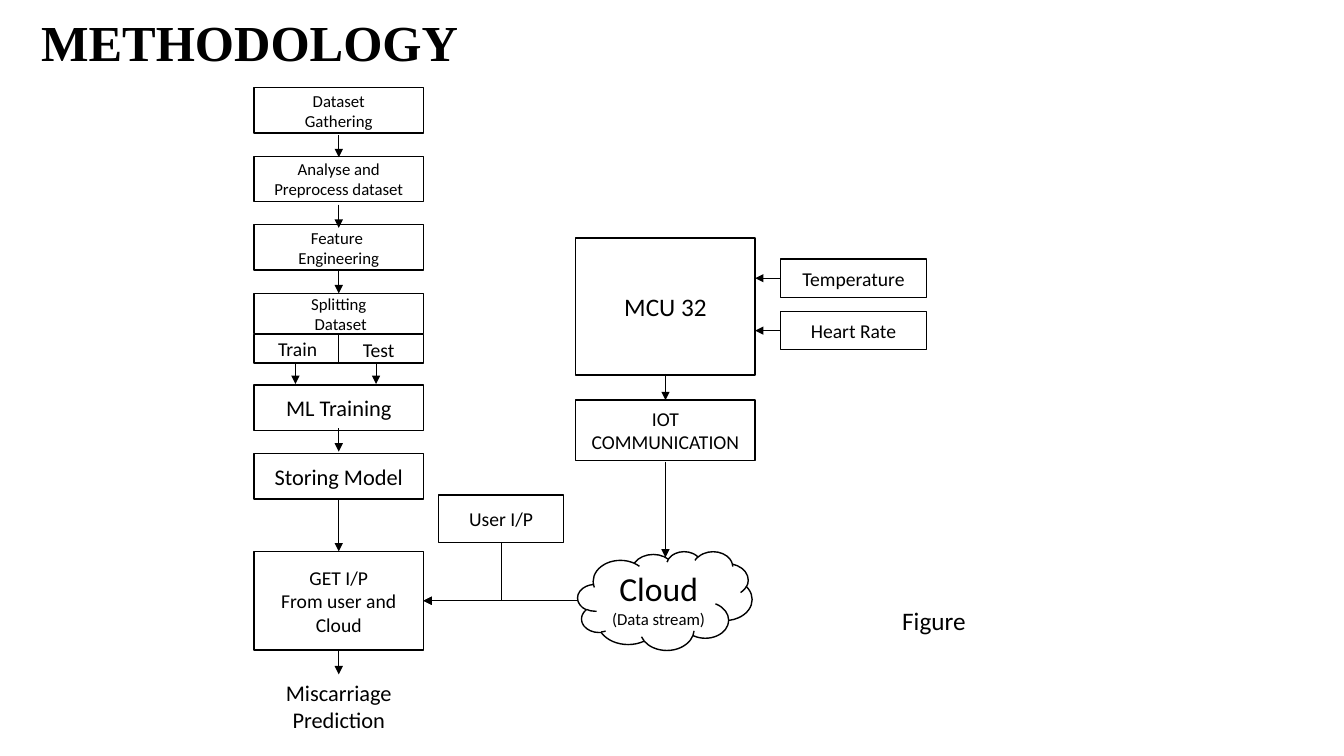
from lxml import etree
from pptx import Presentation
from pptx.dml.color import RGBColor
from pptx.enum.shapes import MSO_CONNECTOR as LINK, MSO_SHAPE as SHAPE
from pptx.enum.text import MSO_ANCHOR as ANCHOR, MSO_AUTO_SIZE as FIT, PP_ALIGN as ALIGN
from pptx.oxml.ns import qn
from pptx.util import Inches, Pt

COLORS = {"ink": "000000", "paper": "FFFFFF"}
COLUMNS = {
    "model": (2.52, 1.68),
    "user": (4.35, 1.24),
    "device": (5.71, 1.78),
    "cloud": (5.73, 1.73),
    "sensor": (7.74, 1.45),
}
TOP, STEP, BOX_H = 0.87, 0.68, 0.45
SPLIT_TOP, TRAIN_TOP = TOP + 3 * STEP, 3.82
INPUT_TOP, INPUT_H = 5.47, 0.98
INPUT_MID = INPUT_TOP + INPUT_H / 2


def color(name):
    return RGBColor.from_string(COLORS[name])


def center(column):
    left, width = COLUMNS[column]
    return left + width / 2


def right(column):
    return sum(COLUMNS[column])


def write(tf, lines, align, font="Calibri", bold=False):
    for i, (text, size) in enumerate(lines):
        p = tf.paragraphs[0] if i == 0 else tf.add_paragraph()
        p.alignment = align
        r = p.add_run()
        r.text = text
        r.font.size = Pt(size)
        r.font.name = font
        r.font.bold = bold
        r.font.color.rgb = color("ink")


def box(s, column, top, height, size=14, *texts, kind=SHAPE.RECTANGLE):
    left, width = COLUMNS[column]
    sp = s.shapes.add_shape(kind, Inches(left), Inches(top), Inches(width), Inches(height))
    sp.shadow.inherit = False
    sp.fill.solid()
    sp.fill.fore_color.rgb = color("paper")
    sp.line.color.rgb = color("ink")
    sp.line.width = Pt(1)
    tf = sp.text_frame
    tf.word_wrap = True
    tf.vertical_anchor = ANCHOR.MIDDLE
    write(tf, [(text, size) for text in texts], ALIGN.CENTER)
    return sp


def label(s, left, top, width, height, text, size, align=ALIGN.LEFT, wrap=True, **style):
    sp = s.shapes.add_textbox(Inches(left), Inches(top), Inches(width), Inches(height))
    tf = sp.text_frame
    tf.word_wrap = wrap
    tf.auto_size = FIT.SHAPE_TO_FIT_TEXT
    write(tf, [(text, size)], align, **style)


def line(s, x1, y1, x2, y2, head=True, kind=LINK.STRAIGHT):
    cx = s.shapes.add_connector(kind, Inches(x1), Inches(y1), Inches(x2), Inches(y2))
    cx.line.color.rgb = color("ink")
    cx.line.width = Pt(0.5)
    props = cx._element.spPr
    if head:
        etree.SubElement(props.find(qn("a:ln")), qn("a:tailEnd"), type="triangle")
    etree.SubElement(props, qn("a:effectLst"))
    return cx


def corner(s, x1, y1, x2, y2):
    run, drop = x1 - x2, y2 - y1
    mid_x, mid_y = (x1 + x2) / 2, (y1 + y2) / 2
    cx = line(s, mid_x - drop / 2, mid_y - run / 2, mid_x + drop / 2, mid_y + run / 2,
              kind=LINK.ELBOW)
    props = cx._element.spPr
    props.find(qn("a:prstGeom")).set("prst", "bentConnector2")
    props.find(qn("a:xfrm")).set("rot", str(90 * 60000))


def model_lane(s):
    axis = center("model")
    steps = [("Dataset", "Gathering"), ("Analyse and Preprocess dataset",),
             ("Feature ", "Engineering")]
    for i, texts in enumerate(steps):
        box(s, "model", TOP + i * STEP, BOX_H, 12, *texts)
    box(s, "model", SPLIT_TOP, 0.4, 12, "Splitting", " Dataset")
    box(s, "model", 3.32, 0.28)
    line(s, axis, 3.32, axis, 3.59, head=False)
    label(s, 2.66, 3.29, 0.84, 0.34, "Train", 14)
    label(s, 3.5, 3.3, 0.71, 0.34, "Test", 14)
    for i, text in enumerate(["ML Training", "Storing Model"]):
        box(s, "model", TRAIN_TOP + i * STEP, BOX_H, 16, text)
    box(s, "model", INPUT_TOP, INPUT_H, 14, "GET I/P", "From user and Cloud")
    left, width = COLUMNS["model"]
    label(s, left, 6.69, width, 0.64, "Miscarriage Prediction", 16, ALIGN.CENTER)
    for start, end in [(1.34, 1.56), (2.03, 2.26), (2.69, 2.91), (4.25, 4.48),
                       (4.96, INPUT_TOP), (6.45, 6.69)]:
        line(s, axis, start, axis, end)
    for x in (2.93, 3.73):
        line(s, x, 3.6, x, 3.81)


def device_lane(s):
    axis = center("device")
    box(s, "device", 2.36, 1.36, 18, "MCU 32")
    box(s, "device", 3.97, 0.6, 14, "IOT COMMUNICATION")
    cloud = box(s, "cloud", INPUT_TOP, INPUT_H, 24, "Cloud", "(Data stream)", kind=SHAPE.CLOUD)
    cloud.text_frame.paragraphs[1].runs[0].font.size = Pt(12)
    for start, end in [(3.71, 3.97), (4.58, 5.53)]:
        line(s, axis, start, axis, end)
    for top, text in [(2.57, "Temperature"), (3.09, "Heart Rate")]:
        box(s, "sensor", top, 0.38, 14, text)
        line(s, COLUMNS["sensor"][0], top + 0.19, right("device"), top + 0.19)


def inputs(s):
    box(s, "user", 4.91, 0.47, 14, "User I/P")
    corner(s, center("user"), 5.38, right("model"), INPUT_MID)
    line(s, COLUMNS["cloud"][0], INPUT_MID, right("model"), INPUT_MID)


def main():
    prs = Presentation()
    prs.slide_width, prs.slide_height = Inches(13.33), Inches(7.5)
    s = prs.slides.add_slide(prs.slide_layouts[6])
    label(s, 0.31, 0.06, 4.5, 0.71, "METHODOLOGY", 36, wrap=False,
          font="Times New Roman", bold=True)
    model_lane(s)
    device_lane(s)
    inputs(s)
    label(s, 8.85, 5.96, 0.84, 0.4, "Figure", 18, wrap=False)
    prs.save("out.pptx")


if __name__ == "__main__":
    main()
